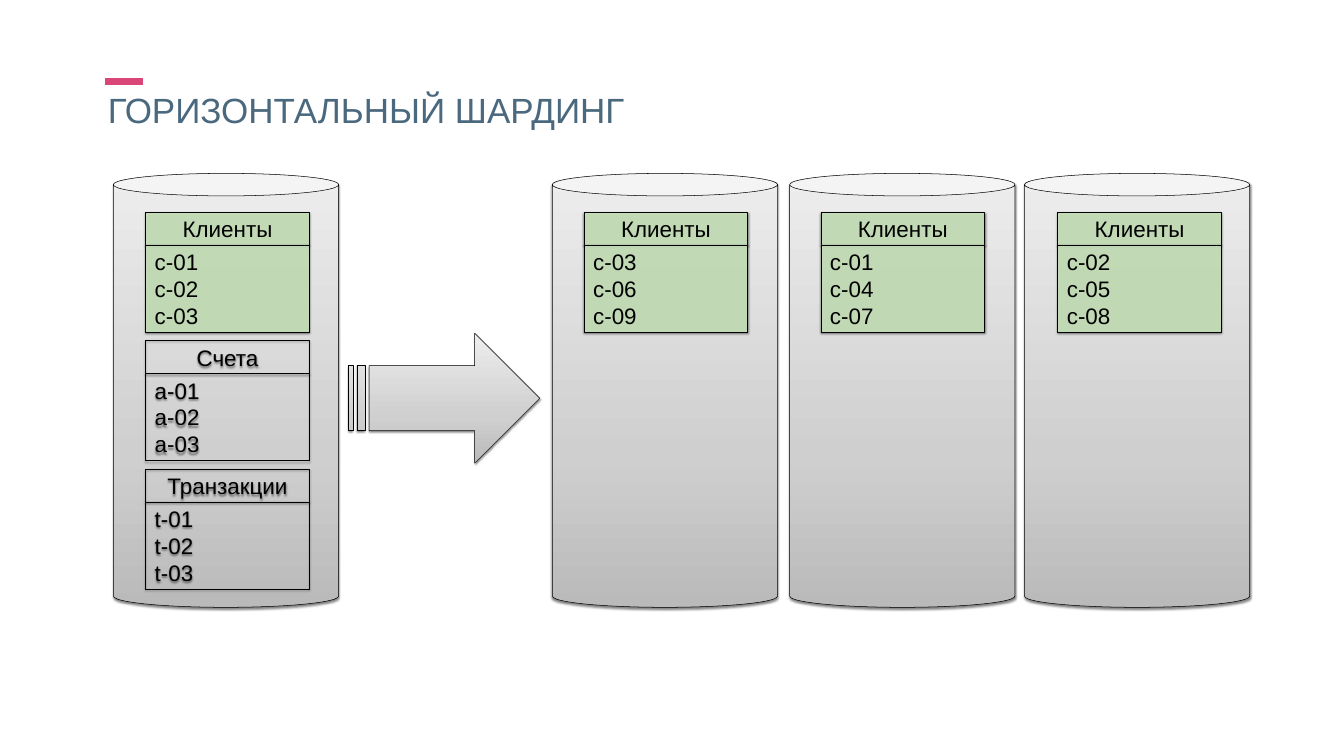
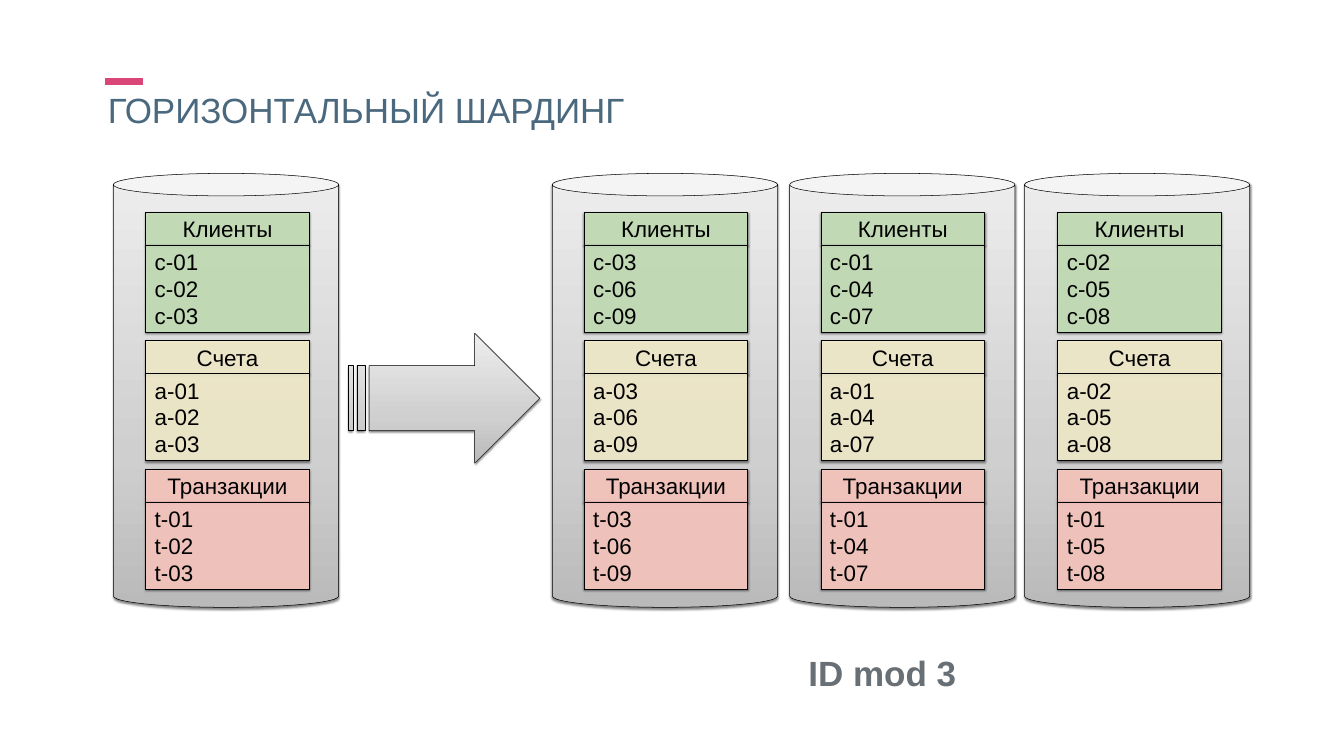
import dataclasses

import lxml.etree
import pptx
import pptx.dml.color
import pptx.enum.shapes
import pptx.enum.text
import pptx.oxml.ns
import pptx.util

Inches = pptx.util.Inches
Pt = pptx.util.Pt
qn = pptx.oxml.ns.qn
PRESET = pptx.enum.shapes.MSO_SHAPE
ALIGN = pptx.enum.text.PP_ALIGN
ANCHOR = pptx.enum.text.MSO_ANCHOR


@dataclasses.dataclass(frozen=True)
class Theme:
    font: str = "Arial"
    heading_size: int = 50
    table_size: int = 32
    title: str = "4A687E"
    accent: str = "DA4678"
    formula: str = "686F75"
    ink: str = "000000"
    metal: tuple = ((0, "BABABA"), (35, "CFCFCF"), (100, "EDEDED"))
    fills: tuple = ("C9E3BB", "F8F1D1", "FDCCC3")
    fill_opacity: int = 90
    shadow_opacity: int = 50
    inset: float = 0.06


THEME = Theme()
TITLE = "ГОРИЗОНТАЛЬНЫЙ ШАРДИНГ"
TABLE_NAMES = ("Клиенты", "Счета", "Транзакции")
SOURCE_ROWS = (
    ("c-01", "c-02", "c-03"),
    ("a-01", "a-02", "a-03"),
    ("t-01", "t-02", "t-03"),
)
SHARD_ROWS = (
    (("c-03", "c-06", "c-09"), ("a-03", "a-06", "a-09"), ("t-03", "t-06", "t-09")),
    (("c-01", "c-04", "c-07"), ("a-01", "a-04", "a-07"), ("t-01", "t-04", "t-07")),
    (("c-02", "c-05", "c-08"), ("a-02", "a-05", "a-08"), ("t-01", "t-05", "t-08")),
)

DATABASE_LEFTS = (2.25, 10.96, 15.67, 20.33)
SOURCE_TABLE_LEFT = 2.89
SHARD_TABLE_LEFT, SHARD_PITCH = 11.59, 4.7
TABLE_TOP, TABLE_PITCH, TABLE_WIDTH = 4.21, 2.55, 3.25
HEADER_HEIGHT, ROWS_HEIGHT = 0.65, 1.73
ROW_INDENT = 0.12


def rgb(code):
    return pptx.dml.color.RGBColor.from_string(code)


def box(left, top, width, height):
    return Inches(left), Inches(top), Inches(width), Inches(height)


def add_xml(parent, tag, **attributes):
    child = lxml.etree.SubElement(parent, qn(tag))
    for name, value in attributes.items():
        child.set(name, str(value))
    return child


def write(shape, lines, size, color, align=ALIGN.LEFT, anchor=ANCHOR.MIDDLE, indent=0, bold=False):
    frame = shape.text_frame
    frame.word_wrap = True
    frame.vertical_anchor = anchor
    frame.margin_left = Inches(THEME.inset + indent)
    frame.margin_right = frame.margin_top = frame.margin_bottom = Inches(THEME.inset)
    frame.text = "\n".join(lines)
    for paragraph in frame.paragraphs:
        paragraph.alignment = align
        for run in paragraph.runs:
            run.font.name = THEME.font
            run.font.size = Pt(size)
            run.font.bold = bold
            run.font.color.rgb = rgb(color)


def outline_with_shadow(shape, width):
    shape.line.color.rgb = rgb(THEME.ink)
    shape.line.width = Pt(width)
    shape.shadow.inherit = False
    effects = shape._element.spPr.find(qn("a:effectLst"))
    shadow = add_xml(effects, "a:outerShdw", blurRad=Pt(3), dist=Pt(2),
                     dir=90 * 60000, rotWithShape=0)
    color = add_xml(shadow, "a:srgbClr", val=THEME.ink)
    add_xml(color, "a:alpha", val=THEME.shadow_opacity * 1000)


def add_metal_shape(slide, preset, place, *adjustments):
    shape = slide.shapes.add_shape(preset, *box(*place))
    for index, value in enumerate(adjustments):
        shape.adjustments[index] = value
    shape.fill.gradient()
    gradient = shape._element.spPr.find(qn("a:gradFill"))
    for child in list(gradient):
        gradient.remove(child)
    stops = add_xml(gradient, "a:gsLst")
    for position, color in THEME.metal:
        stop = add_xml(stops, "a:gs", pos=position * 1000)
        add_xml(stop, "a:srgbClr", val=color)
    add_xml(gradient, "a:lin", ang=270 * 60000, scaled=0)
    outline_with_shadow(shape, 0.75)


def add_table_cell(group, place, lines, fill, align, indent=0):
    cell = group.shapes.add_shape(PRESET.RECTANGLE, *box(*place))
    if fill:
        cell.fill.solid()
        cell.fill.fore_color.rgb = rgb(fill)
        color = cell._element.spPr.find(qn("a:solidFill"))[0]
        add_xml(color, "a:alpha", val=THEME.fill_opacity * 1000)
    else:
        cell.fill.background()
    outline_with_shadow(cell, 1)
    write(cell, lines, THEME.table_size, THEME.ink, align, indent=indent)


def add_database_tables(slide, left, tables, fills):
    for index, (name, rows, fill) in enumerate(zip(TABLE_NAMES, tables, fills)):
        top = TABLE_TOP + index * TABLE_PITCH
        group = slide.shapes.add_group_shape()
        add_table_cell(group, (left, top, TABLE_WIDTH, HEADER_HEIGHT), [name], fill, ALIGN.CENTER)
        add_table_cell(group, (left, top + HEADER_HEIGHT, TABLE_WIDTH, ROWS_HEIGHT),
                       rows, fill, ALIGN.LEFT, ROW_INDENT)


def add_title(slide):
    title = slide.shapes.add_textbox(*box(2.08, 1.85, 22.05, 0.79))
    write(title, [TITLE], THEME.heading_size, THEME.title, anchor=ANCHOR.TOP)
    title.text_frame.paragraphs[0].line_spacing = 0.8
    accent = slide.shapes.add_connector(
        pptx.enum.shapes.MSO_CONNECTOR.STRAIGHT,
        Inches(2.08), Inches(1.62), Inches(2.84), Inches(1.62))
    accent.line.color.rgb = rgb(THEME.accent)
    accent.line.width = Pt(11)
    add_xml(accent._element.spPr, "a:effectLst")


def add_formula(slide, formula):
    caption = slide.shapes.add_textbox(*box(14.03, 12.86, 6.96, 0.95))
    write(caption, [formula], THEME.heading_size, THEME.formula, ALIGN.CENTER, bold=True)


def add_sharding_slide(deck, source_fills, sharded_count):
    slide = deck.slides.add_slide(deck.slide_layouts[6])
    add_title(slide)
    for left in DATABASE_LEFTS:
        add_metal_shape(slide, PRESET.CAN, (left, 3.44, 4.47, 8.61), 0.1)
    add_database_tables(slide, SOURCE_TABLE_LEFT, SOURCE_ROWS, source_fills)
    for index, tables in enumerate(SHARD_ROWS):
        left = SHARD_TABLE_LEFT + index * SHARD_PITCH
        add_database_tables(slide, left, tables[:sharded_count], THEME.fills)
    add_metal_shape(slide, PRESET.STRIPED_RIGHT_ARROW, (6.92, 6.61, 3.79, 2.58), 0.5, 0.5)
    return slide


def main():
    """Build the two sharding slides and save the deck."""
    deck = pptx.Presentation()
    deck.slide_width, deck.slide_height = Inches(26.67), Inches(15)
    add_sharding_slide(deck, (THEME.fills[0], None, None), 1)
    complete = add_sharding_slide(deck, THEME.fills, len(TABLE_NAMES))
    add_formula(complete, "ID mod 3")
    deck.save("out.pptx")


if __name__ == "__main__":
    main()
